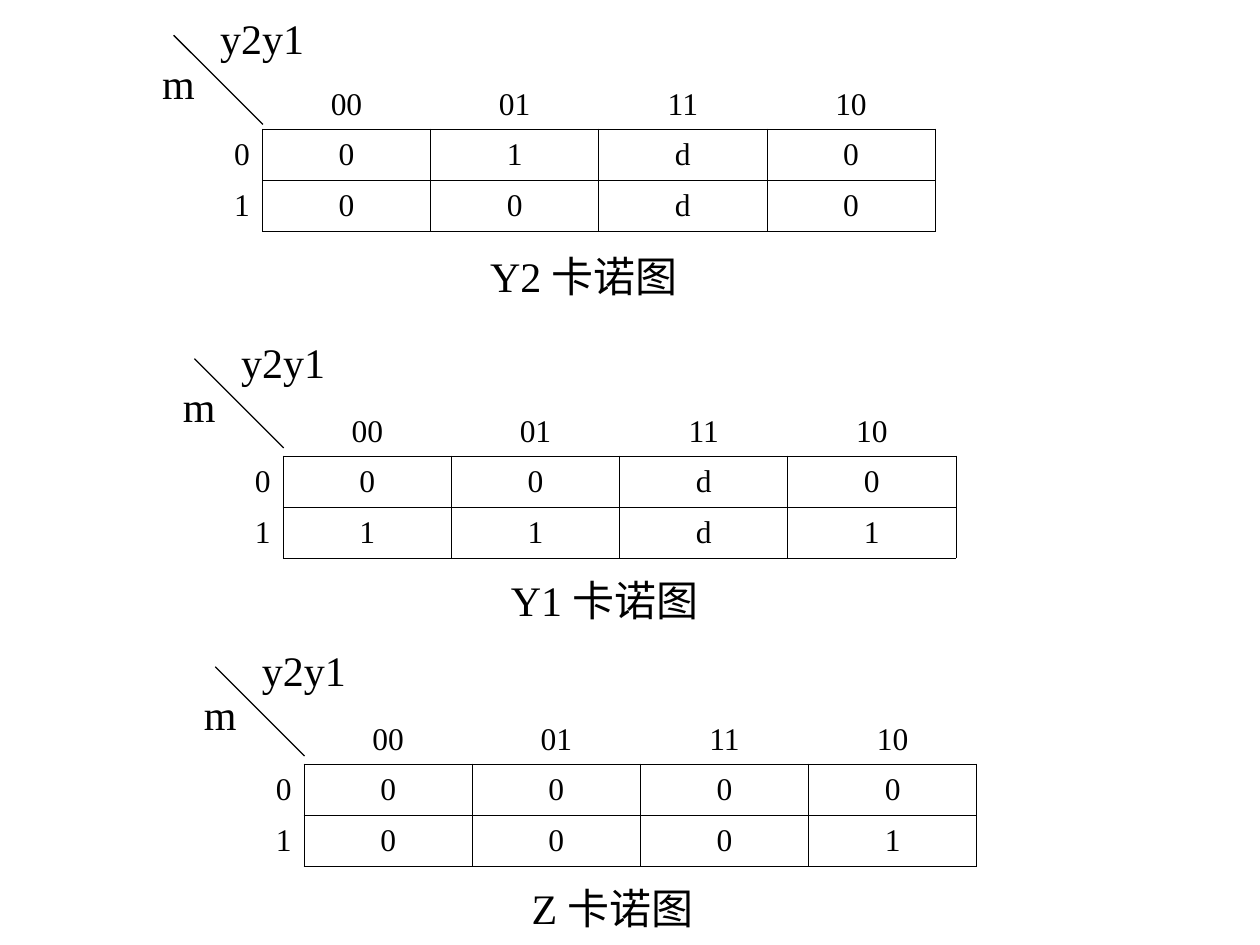
"""Build a slide with three Karnaugh maps, each with axis labels and a caption."""
from lxml import etree
from pptx import Presentation
from pptx.dml.color import RGBColor
from pptx.enum.shapes import MSO_CONNECTOR
from pptx.enum.text import MSO_ANCHOR, MSO_AUTO_SIZE, PP_ALIGN
from pptx.oxml.ns import qn
from pptx.util import Cm, Pt

STRAIGHT = MSO_CONNECTOR.STRAIGHT
MIDDLE, BOTTOM = MSO_ANCHOR.MIDDLE, MSO_ANCHOR.BOTTOM
CENTER, RIGHT = PP_ALIGN.CENTER, PP_ALIGN.RIGHT
FIT_SHAPE = MSO_AUTO_SIZE.SHAPE_TO_FIT_TEXT

COLORS = {"ink": "000000"}
FONT = "Times New Roman"
COLUMN_CODES = ["00", "01", "11", "10"]
MAPS = [
    {"caption": "Y2 卡诺图", "top": 1.4, "header": 1.2, "caption_width": 4.54,
     "rows": [("0", "01d0"), ("1", "00d0")]},
    {"caption": "Y1 卡诺图", "top": 7.92, "header": 1.27, "caption_width": 4.54,
     "rows": [("0", "00d0"), ("1", "11d1")]},
    {"caption": "Z 卡诺图", "top": 14.13, "header": 1.27, "caption_width": 4.02,
     "rows": [("0", "0000"), ("1", "0001")]},
]
FIRST_LEFT, LEFT_STEP = 1.9, 0.42
COLUMN_WIDTH, ROW_HEIGHT = 3.39, 1.03
LABEL_HEIGHT = 1.27
DIAGONAL = 1.8


def style_paragraph(paragraph, size):
    paragraph.font.name = FONT
    paragraph.font.size = Pt(size)
    paragraph.font.color.rgb = RGBColor.from_string(COLORS["ink"])


def set_borders(cell, visible_sides):
    properties = cell._tc.get_or_add_tcPr()
    for side in "LRTB":
        line = etree.SubElement(properties, qn(f"a:ln{side}"), w=str(Pt(0.45)))
        if side in visible_sides:
            fill = etree.SubElement(line, qn("a:solidFill"))
            etree.SubElement(fill, qn("a:srgbClr"), val=COLORS["ink"])
        else:
            etree.SubElement(line, qn("a:noFill"))


def add_map_table(slide, karnaugh_map, left):
    rows = [["", *COLUMN_CODES]]
    rows += [[code, *values] for code, values in karnaugh_map["rows"]]
    heights = [karnaugh_map["header"]] + [ROW_HEIGHT] * len(karnaugh_map["rows"])
    table = slide.shapes.add_table(
        len(rows), len(rows[0]), Cm(left), Cm(karnaugh_map["top"]),
        Cm(COLUMN_WIDTH * len(rows[0])), Cm(sum(heights))).table
    table.first_row = table.horz_banding = False
    for column in table.columns:
        column.width = Cm(COLUMN_WIDTH)
    for row_index, values in enumerate(rows):
        table.rows[row_index].height = Cm(heights[row_index])
        for column_index, value in enumerate(values):
            cell = table.cell(row_index, column_index)
            if row_index and column_index:
                sides = "LRTB"
            elif row_index:
                sides = "R"
            else:
                sides = "B" if column_index else ""
            set_borders(cell, sides)
            cell.fill.background()
            cell.vertical_anchor = MIDDLE if row_index else BOTTOM
            cell.text = value
            paragraph = cell.text_frame.paragraphs[0]
            paragraph.alignment = CENTER if column_index else RIGHT
            style_paragraph(paragraph, 18)


def add_label(slide, left, top, width, text):
    box = slide.shapes.add_textbox(Cm(left), Cm(top), Cm(width), Cm(LABEL_HEIGHT))
    frame = box.text_frame
    frame.word_wrap = False
    frame.auto_size = FIT_SHAPE
    frame.text = text
    style_paragraph(frame.paragraphs[0], 24)


def add_diagonal(slide, left, top):
    line = slide.shapes.add_connector(
        STRAIGHT, Cm(left + DIAGONAL), Cm(top + DIAGONAL), Cm(left), Cm(top))
    line.line.color.rgb = RGBColor.from_string(COLORS["ink"])
    line.line.width = Pt(0.75)
    etree.SubElement(line._element.spPr, qn("a:effectLst"))


presentation = Presentation()
presentation.slide_width, presentation.slide_height = Cm(25.4), Cm(19.05)
slide = presentation.slides.add_slide(presentation.slide_layouts[6])

for index, karnaugh_map in enumerate(MAPS):
    left, top = FIRST_LEFT + index * LEFT_STEP, karnaugh_map["top"]
    add_map_table(slide, karnaugh_map, left)
    add_diagonal(slide, left + 1.6, top - 0.69)
    add_label(slide, left + 2.29, top - 1.27, 2.24, "y2y1")
    add_label(slide, left + 1.12, top - 0.37, 1.19, "m")
    add_label(slide, left + 7.73, top + 3.53, karnaugh_map["caption_width"],
              karnaugh_map["caption"])

presentation.save("out.pptx")
